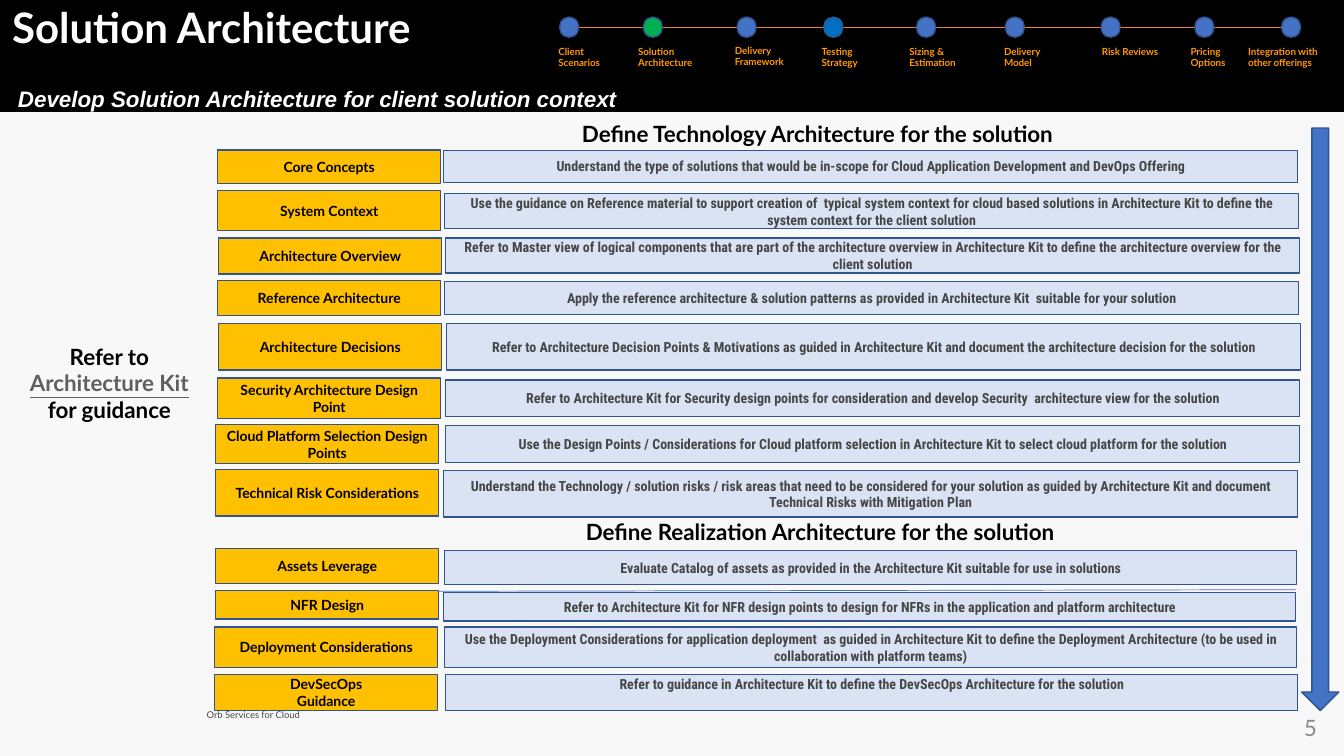
"""Build the Solution Architecture slide with its stage track and guidance rows."""
from dataclasses import dataclass

import pptx
import pptx.dml.color
import pptx.enum.shapes
import pptx.enum.text
import pptx.oxml.ns
import pptx.util

RGBColor = pptx.dml.color.RGBColor
Align = pptx.enum.text.PP_ALIGN
Anchor = pptx.enum.text.MSO_ANCHOR
Preset = pptx.enum.shapes.MSO_SHAPE

BLACK = RGBColor(0x00, 0x00, 0x00)
WHITE = RGBColor(0xFF, 0xFF, 0xFF)
PAPER = RGBColor(0xF8, 0xF8, 0xF8)
BLUE = RGBColor(0x44, 0x72, 0xC4)
DARK_BLUE = RGBColor(0x32, 0x54, 0x91)
TESTING_BLUE = RGBColor(0x00, 0x70, 0xC0)
GREEN = RGBColor(0x00, 0xB0, 0x50)
TRACK_ORANGE = RGBColor(0xED, 0x7D, 0x31)
LABEL_ORANGE = RGBColor(0xFF, 0x99, 0x00)
GOLD = RGBColor(0xFF, 0xC0, 0x00)
PALE_BLUE = RGBColor(0xDA, 0xE3, 0xF3)
NOTE_GREY = RGBColor(0x46, 0x46, 0x46)
LINK_GREY = RGBColor(0x5F, 0x5F, 0x5F)
NUMBER_GREY = RGBColor(0x8C, 0x8C, 0x8C)

EMU_PER_PX = 9144
INSETS = (10, 5, 10, 5)


@dataclass(frozen=True)
class Area:
    left: int
    top: int
    width: int
    height: int

    def emu(self) -> list[int]:
        """Return the four lengths in EMU."""
        return [px(n) for n in (self.left, self.top, self.width, self.height)]


@dataclass(frozen=True)
class Style:
    size: float
    color: RGBColor
    font: str = "Lato"
    bold: bool = True
    italic: bool = False
    align: Align = Align.LEFT


@dataclass(frozen=True)
class Stage:
    dot_left: int
    label: str
    label_left: int
    label_width: int
    label_top: int = 40
    color: RGBColor = BLUE


@dataclass(frozen=True)
class Row:
    topic: str
    topic_left: int
    topic_top: int
    topic_height: int
    note: str
    note_left: int
    note_top: int
    note_height: int
    note_width: int = 847
    note_anchor: Anchor = Anchor.MIDDLE


TITLE = Style(30, WHITE)
SUBTITLE = Style(16, WHITE, "Arial", italic=True)
PAGE_NUMBER = Style(18, NUMBER_GREY, "Calibri", False, align=Align.RIGHT)
FOOTER = Style(6.7, NOTE_GREY, bold=False)
STAGE = Style(7, LABEL_ORANGE)
HEADING = Style(16, BLACK, align=Align.CENTER)
TOPIC = Style(10, BLACK, align=Align.CENTER)
NOTE = Style(10, NOTE_GREY, "Roboto Condensed", align=Align.CENTER)

STAGES = [
    Stage(555, "Client Scenarios", 544, 76),
    Stage(638, "Solution Architecture", 623, 82, color=GREEN),
    Stage(731, "Delivery Framework", 719, 94, label_top=39),
    Stage(817, "Testing Strategy", 805, 66, color=TESTING_BLUE),
    Stage(909, "Sizing & Estimation", 892, 94),
    Stage(997, "Delivery Model", 986, 76),
    Stage(1092, "Risk Reviews", 1083, 76),
    Stage(1185, "Pricing Options", 1171, 76),
    Stage(1271, "Integration with other offerings", 1228, 99),
]

ROWS = [
    Row("Core Concepts", 216, 149, 33, "Understand the type of solutions that would be in-scope for Cloud Application Development and DevOps Offering", 440, 149, 32),
    Row("System Context", 216, 189, 40, "Use the guidance on Reference material to support creation of  typical system context for cloud based solutions in Architecture Kit to define the system context for the client solution", 441, 192, 35),
    Row("Architecture Overview", 217, 236, 36, "Refer to Master view of logical components that are part of the architecture overview in Architecture Kit to define the architecture overview for the client solution", 442, 236, 35),
    Row("Reference Architecture", 216, 278, 35, "Apply the reference architecture & solution patterns as provided in Architecture Kit  suitable for your solution", 441, 279, 33),
    Row("Architecture Decisions", 217, 321, 46, "Refer to Architecture Decision Points & Motivations as guided in Architecture Kit and document the architecture decision for the solution", 443, 321, 46),
    Row("Security Architecture Design Point", 216, 375, 40, "Refer to Architecture Kit for Security design points for consideration and develop Security  architecture view for the solution", 442, 377, 36),
    Row("Cloud Platform Selection Design Points", 214, 421, 39, "Use the Design Points / Considerations for Cloud platform selection in Architecture Kit to select cloud platform for the solution", 442, 422, 37),
    Row("Technical Risk Considerations", 214, 466, 46, "Understand the Technology / solution risks / risk areas that need to be considered for your solution as guided by Architecture Kit and document Technical Risks with Mitigation Plan", 440, 467, 46),
    Row("Assets Leverage", 214, 544, 35, "Evaluate Catalog of assets as provided in the Architecture Kit suitable for use in solutions", 441, 546, 34, 845),
    Row("NFR Design", 214, 586, 28, "Refer to Architecture Kit for NFR design points to design for NFRs in the application and platform architecture", 440, 588, 28, 845),
    Row("Deployment Considerations", 213, 622, 40, "Use the Deployment Considerations for application deployment  as guided in Architecture Kit to define the Deployment Architecture (to be used in collaboration with platform teams)", 441, 622, 40, 845),
    Row("DevSecOps\nGuidance", 213, 669, 36, "Refer to guidance in Architecture Kit to define the DevSecOps Architecture for the solution", 442, 669, 36, 845, Anchor.TOP),
]


def px(length: int) -> int:
    """Convert slide pixels to EMU."""
    return length * EMU_PER_PX


def write(shape, text: str, style: Style, anchor=Anchor.TOP, insets=INSETS) -> None:
    """Fill a shape with wrapped text in one style."""
    frame = shape.text_frame
    frame.text = text
    frame.word_wrap = True
    frame.auto_size = pptx.enum.text.MSO_AUTO_SIZE.NONE
    frame.vertical_anchor = anchor
    frame.margin_left, frame.margin_top, frame.margin_right, frame.margin_bottom = map(px, insets)
    for para in frame.paragraphs:
        para.alignment = style.align
        for span in para.runs:
            format_span(span, style)


def format_span(span, style: Style) -> None:
    """Apply a text style to one run."""
    span.font.name = style.font
    span.font.size = pptx.util.Pt(style.size)
    span.font.bold = style.bold
    span.font.italic = style.italic
    span.font.color.rgb = style.color


def add_text(page, area: Area, text: str, style: Style, anchor=Anchor.TOP, insets=INSETS):
    """Add a text box."""
    box = page.shapes.add_textbox(*area.emu())
    write(box, text, style, anchor, insets)
    return box


def add_block(page, preset: Preset, area: Area, fill: RGBColor, outlined: bool = True):
    """Add a flat preset shape."""
    block = page.shapes.add_shape(preset, *area.emu())
    block.shadow.inherit = False
    block.fill.solid()
    block.fill.fore_color.rgb = fill
    if outlined:
        block.line.color.rgb = DARK_BLUE
        block.line.width = pptx.util.Pt(1)
    else:
        block.line.fill.background()
    return block


def add_rule(page, start: tuple[int, int], end: tuple[int, int], color: RGBColor) -> None:
    """Add a thin straight line."""
    straight = pptx.enum.shapes.MSO_CONNECTOR.STRAIGHT
    rule = page.shapes.add_connector(straight, *map(px, start + end))
    rule.line.color.rgb = color
    rule.line.width = pptx.util.Pt(0.5)
    properties = rule.element.spPr
    properties.append(properties.makeelement(pptx.oxml.ns.qn("a:effectLst"), {}))


def add_header(page) -> None:
    """Add the black band, title, subtitle and stage track."""
    band = add_block(page, Preset.RECTANGLE, Area(0, 0, 1333, 111), BLACK, False)
    title = page.shapes.title
    title.element.addprevious(band.element)
    title.left, title.top, title.width, title.height = Area(12, 7, 520, 49).emu()
    write(title, "Solution Architecture", TITLE, insets=(0, 0, 0, 0))
    title.text_frame.paragraphs[0].line_spacing = 0.9
    add_text(page, Area(8, 80, 1325, 40), "Develop Solution Architecture for client solution context", SUBTITLE)
    add_rule(page, (555, 27), (1284, 27), TRACK_ORANGE)
    for stage in STAGES:
        add_block(page, Preset.OVAL, Area(stage.dot_left, 17, 19, 20), stage.color)
        add_text(page, Area(stage.label_left, stage.label_top, stage.label_width, 34), stage.label, STAGE)


def add_row(page, row: Row) -> None:
    """Add a topic block and its note."""
    topic = add_block(page, Preset.RECTANGLE, Area(row.topic_left, row.topic_top, 221, row.topic_height), GOLD)
    write(topic, row.topic, TOPIC, Anchor.MIDDLE, (10, 0, 10, 0))
    note = add_block(page, Preset.RECTANGLE, Area(row.note_left, row.note_top, row.note_width, row.note_height), PALE_BLUE)
    write(note, row.note, NOTE, row.note_anchor, (10, 1, 10, 1))


def add_guidance(page) -> None:
    """Add the side text that points to the kit."""
    box = add_text(page, Area(12, 335, 193, 91), "Refer to ", HEADING)
    para = box.text_frame.paragraphs[0]
    for text in ("Architecture Kit", " for guidance"):
        span = para.add_run()
        span.text = text
        format_span(span, HEADING)
    link = para.runs[1]
    link.font.color.rgb = LINK_GREY
    link.font.underline = True


def main() -> None:
    """Build and save the deck."""
    deck = pptx.Presentation()
    deck.slide_width, deck.slide_height = px(1333), px(750)
    page = deck.slides.add_slide(deck.slide_layouts[5])
    page.background.fill.solid()
    page.background.fill.fore_color.rgb = PAPER
    add_header(page)
    add_text(page, Area(1016, 701, 300, 40), "5", PAGE_NUMBER)
    add_text(page, Area(205, 673, 600, 42), "Orb Services for Cloud", FOOTER, Anchor.BOTTOM, (0, 0, 0, 0))
    add_rule(page, (213, 587), (1285, 585), BLUE)
    for row in ROWS:
        add_row(page, row)
    add_text(page, Area(531, 114, 560, 37), "Define Technology Architecture for the solution", HEADING)
    add_text(page, Area(526, 509, 575, 37), "Define Realization Architecture for the solution", HEADING)
    arrow = add_block(page, Preset.DOWN_ARROW, Area(1291, 127, 37, 578), BLUE)
    arrow.adjustments[0], arrow.adjustments[1] = 0.45, 0.5
    add_guidance(page)
    deck.save("out.pptx")


if __name__ == "__main__":
    main()
